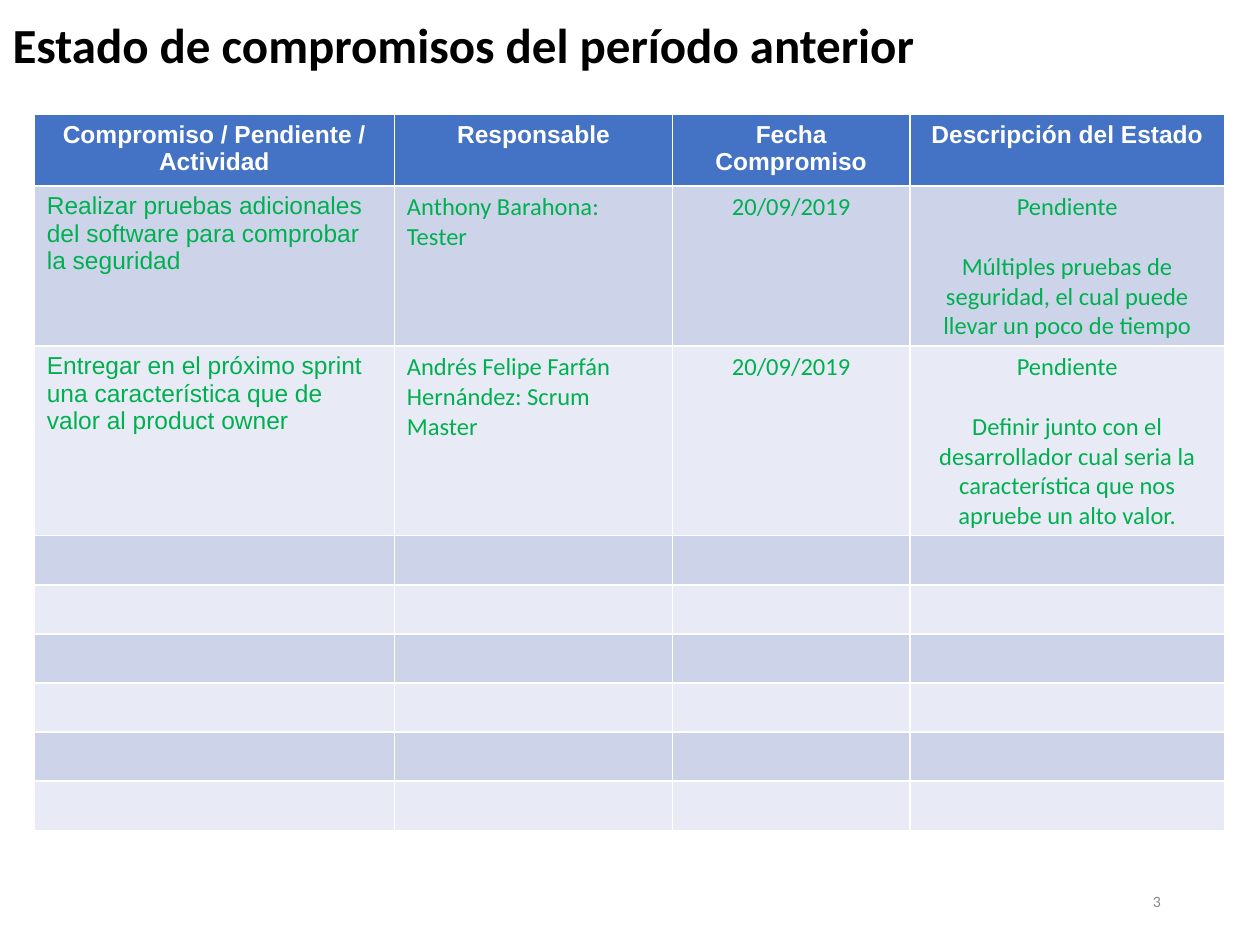
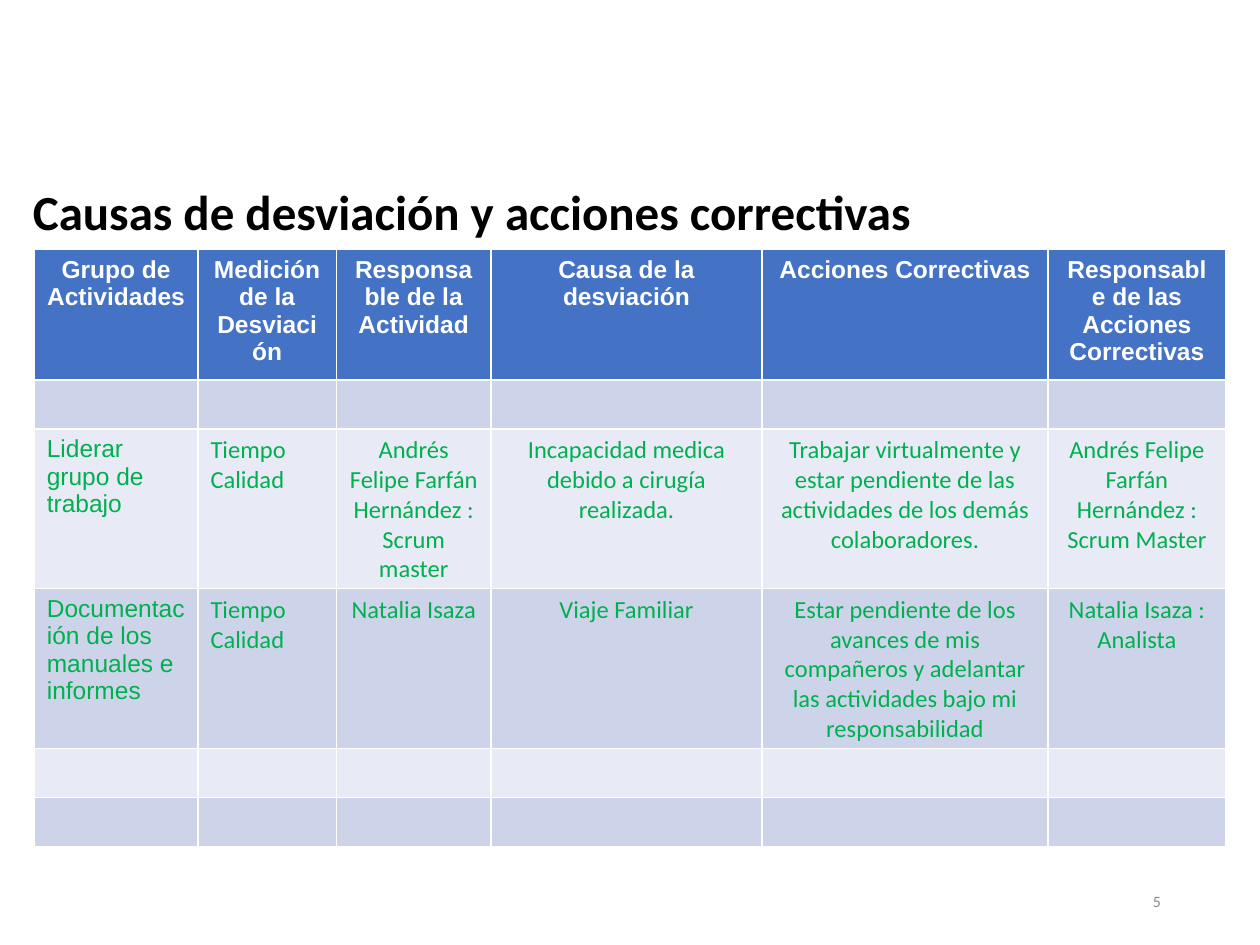
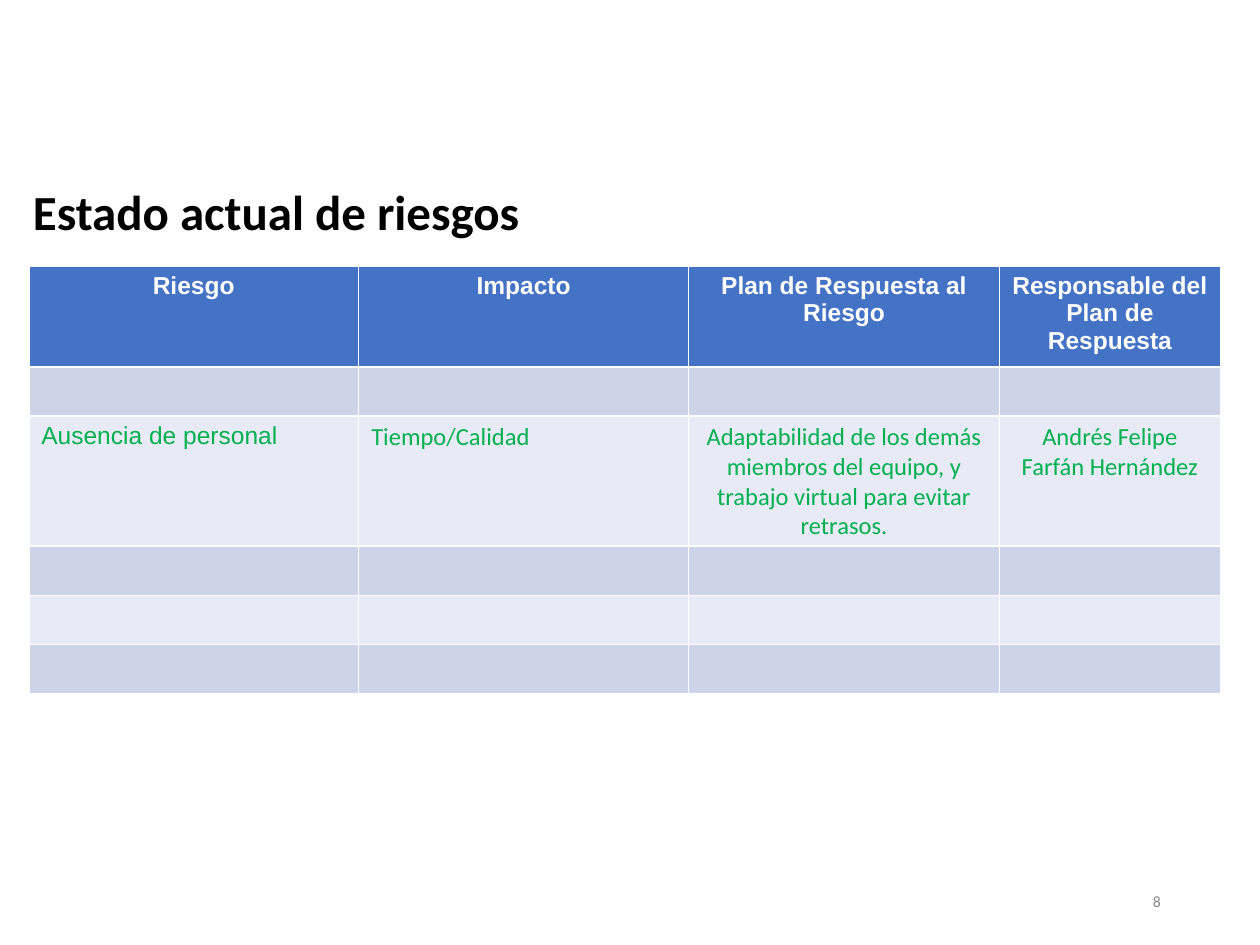
"""Builds three project status slides, each with a title, a banded table and a page number."""
from lxml import etree
from pptx import Presentation
from pptx.dml.color import RGBColor
from pptx.enum.text import MSO_ANCHOR, MSO_AUTO_SIZE, PP_ALIGN
from pptx.oxml.ns import qn
from pptx.util import Cm, Pt

LEFT, CENTER, RIGHT = PP_ALIGN.LEFT, PP_ALIGN.CENTER, PP_ALIGN.RIGHT
MIDDLE = MSO_ANCHOR.MIDDLE
NO_AUTOFIT = MSO_AUTO_SIZE.NONE
TITLE_ONLY = 5

COLORS = {
    "title": "000000",
    "page": "888888",
    "header": "4472C4",
    "header_text": "FFFFFF",
    "band_dark": "CDD4EA",
    "band_light": "E8EBF5",
    "entry": "00B050",
}
HEADING_FONT, BODY_FONT = "Arial", "Calibri"
CELL_SIZE = 14
ROW_HEIGHT = Cm(0.99)

SLIDES = [
    {
        "title": "Estado de compromisos del período anterior",
        "title_at": (0, 0.38),
        "page": "3",
        "table_at": (0.69, 2.31),
        "columns": [7.26, 5.61, 4.78, 6.35],
        "rows": [
            ["Compromiso / Pendiente / Actividad", "Responsable",
             "Fecha Compromiso", "Descripción del Estado"],
            ["Realizar pruebas adicionales del software para comprobar la seguridad",
             "Anthony Barahona: Tester", "20/09/2019",
             "Pendiente\nMúltiples pruebas de seguridad, el cual puede llevar un poco de tiempo"],
            ["Entregar en el próximo sprint una característica que de valor al product owner",
             "Andrés Felipe Farfán Hernández: Scrum Master", "20/09/2019",
             "Pendiente\nDefinir junto con el desarrollador cual seria la característica "
             "que nos apruebe un alto valor."],
        ] + [[""] * 4] * 6,
    },
    {
        "title": "Causas de desviación y acciones correctivas",
        "title_at": (0.41, 3.76),
        "page": "5",
        "table_at": (0.69, 5.03),
        "columns": [3.3, 2.79, 3.12, 5.46, 5.77, 3.58],
        "rows": [
            ["Grupo de Actividades", "Medición de la Desviación",
             "Responsable de la Actividad", "Causa de la desviación",
             "Acciones Correctivas", "Responsable de las Acciones Correctivas"],
            [""] * 6,
            ["Liderar grupo de trabajo", "Tiempo\nCalidad",
             "Andrés Felipe Farfán Hernández : Scrum master",
             "Incapacidad medica debido a cirugía realizada.",
             "Trabajar virtualmente y estar pendiente de las actividades "
             "de los demás colaboradores.",
             "Andrés Felipe Farfán Hernández : Scrum Master"],
            ["Documentación de los manuales e informes", "Tiempo\nCalidad",
             "Natalia Isaza", "Viaje Familiar",
             "Estar pendiente de los avances de mis compañeros y adelantar "
             "las actividades bajo mi responsabilidad",
             "Natalia Isaza : Analista"],
        ] + [[""] * 6] * 2,
    },
    {
        "title": "Estado actual de riesgos",
        "title_at": (0.41, 3.76),
        "page": "8",
        "table_at": (0.58, 5.36),
        "columns": [6.65, 6.65, 6.27, 4.45],
        "rows": [
            ["Riesgo", "Impacto", "Plan de Respuesta al Riesgo",
             "Responsable del Plan de Respuesta"],
            [""] * 4,
            ["Ausencia de personal", "Tiempo/Calidad",
             "Adaptabilidad de los demás miembros del equipo, y trabajo virtual "
             "para evitar retrasos.",
             "Andrés Felipe Farfán Hernández"],
        ] + [[""] * 4] * 3,
    },
]


def add_run(paragraph, text, font, size, color, align, bold=False):
    paragraph.alignment = align
    run = paragraph.add_run()
    run.text = text
    run.font.name = font
    run.font.size = Pt(size)
    run.font.bold = bold
    run.font.color.rgb = RGBColor.from_string(COLORS[color])


def fill_cell(cell, text, row_index, column_index):
    is_header = row_index == 0
    band = "header" if is_header else "band_dark" if row_index % 2 else "band_light"
    cell.fill.solid()
    cell.fill.fore_color.rgb = RGBColor.from_string(COLORS[band])
    frame = cell.text_frame
    if not text:
        etree.SubElement(frame.paragraphs[0]._p, qn("a:endParaRPr"), sz=str(CELL_SIZE * 100))
        return
    font = HEADING_FONT if is_header or column_index == 0 else BODY_FONT
    align = CENTER if is_header or column_index > 1 else LEFT
    color = "header_text" if is_header else "entry"
    for index, line in enumerate(text.split("\n")):
        paragraph = frame.add_paragraph() if index else frame.paragraphs[0]
        if index and align == CENTER:
            paragraph.space_before = Pt(17)
        add_run(paragraph, line, font, CELL_SIZE, color, align, is_header)


presentation = Presentation()
presentation.slide_width, presentation.slide_height = Cm(25.4), Cm(19.05)

for content in SLIDES:
    slide = presentation.slides.add_slide(presentation.slide_layouts[TITLE_ONLY])

    title = slide.shapes.title
    title.left, title.top = (Cm(value) for value in content["title_at"])
    title.width, title.height = Cm(21.59), Cm(0.99)
    title.text_frame.auto_size = NO_AUTOFIT
    title.text_frame.vertical_anchor = MIDDLE
    add_run(title.text_frame.paragraphs[0], content["title"], BODY_FONT, 28, "title", LEFT, True)

    page = slide.shapes.add_textbox(Cm(17.93), Cm(17.65), Cm(5.72), Cm(1.02))
    page.text_frame.word_wrap = True
    page.text_frame.vertical_anchor = MIDDLE
    add_run(page.text_frame.paragraphs[0], content["page"], BODY_FONT, 9, "page", RIGHT)

    rows, columns = content["rows"], content["columns"]
    left, top = (Cm(value) for value in content["table_at"])
    table = slide.shapes.add_table(
        len(rows), len(columns), left, top, Cm(sum(columns)), ROW_HEIGHT * len(rows)
    ).table
    for column, width in zip(table.columns, columns):
        column.width = Cm(width)
    for row_index, row in enumerate(rows):
        for column_index, text in enumerate(row):
            fill_cell(table.cell(row_index, column_index), text, row_index, column_index)

presentation.save("out.pptx")
